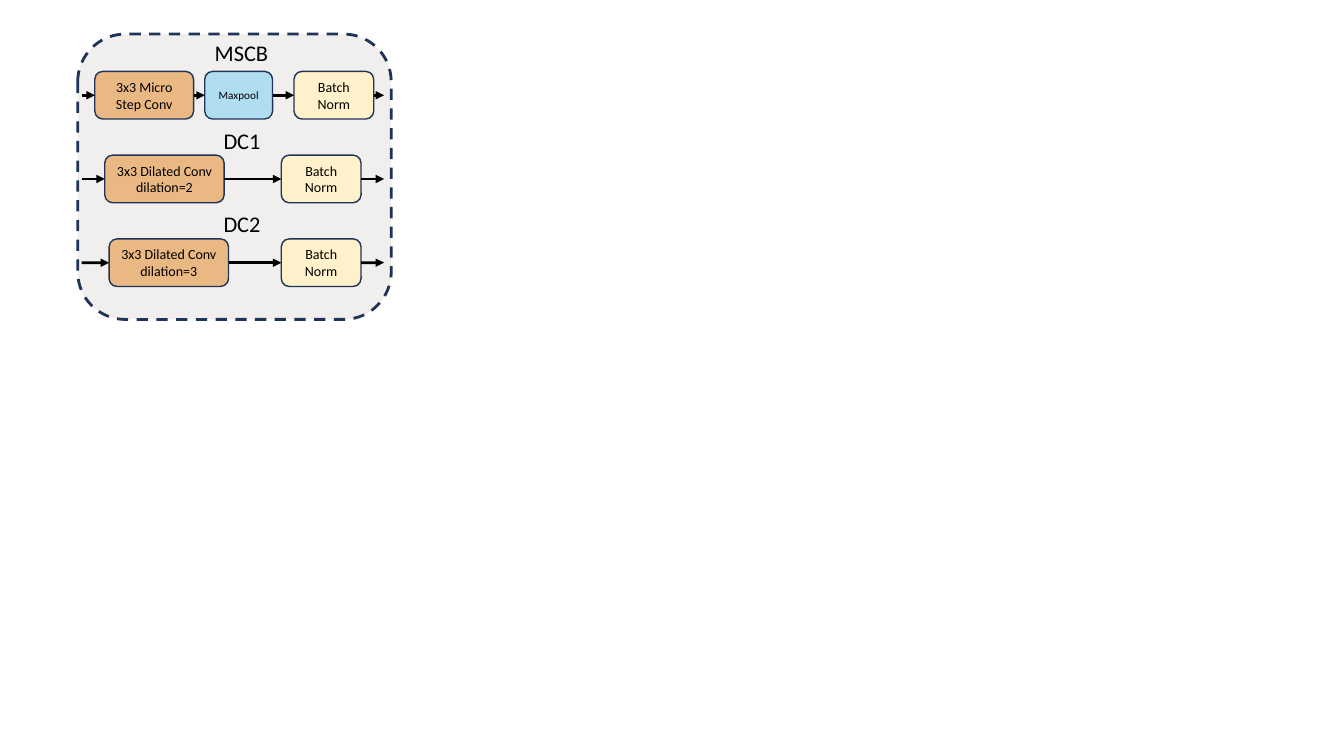
from itertools import pairwise

from lxml.etree import SubElement
from pptx import Presentation
from pptx.dml.color import RGBColor
from pptx.enum.dml import MSO_LINE
from pptx.enum.shapes import MSO_CONNECTOR, MSO_SHAPE
from pptx.enum.text import MSO_ANCHOR, PP_ALIGN
from pptx.oxml.ns import qn
from pptx.util import Cm, Pt

NAVY = RGBColor(0x20, 0x33, 0x59)
BLACK = RGBColor(0x00, 0x00, 0x00)
PANEL_GREY = RGBColor(0xF0, 0xEF, 0xED)
CONV_ORANGE = RGBColor(0xEA, 0xB8, 0x83)
POOL_BLUE = RGBColor(0xB1, 0xDD, 0xF0)
NORM_YELLOW = RGBColor(0xFF, 0xF2, 0xCA)

FIRST_ROW_TOP = 1.8
ROW_PITCH = 2.11
BLOCK_HEIGHT = 1.2
FLOW_START, FLOW_END = 2.06, 9.68
LEFT_SITE, RIGHT_SITE = 1, 3

BRANCHES = [
    {
        "label": ("MSCB", 2.21, 0.86, 7.75),
        "blocks": [
            ("3x3 Micro Step Conv", 2.39, 2.49, CONV_ORANGE, 10),
            ("Maxpool", 5.16, 1.71, POOL_BLUE, 8),
            ("Batch Norm", 7.41, 2.01, NORM_YELLOW, 10),
        ],
    },
    {
        "label": ("DC1", 3.56, 3.07, 5.08),
        "blocks": [
            ("3x3 Dilated Conv dilation=2", 2.64, 3.01, CONV_ORANGE, 10),
            ("Batch Norm", 7.09, 2.01, NORM_YELLOW, 10),
        ],
    },
    {
        "label": ("DC2", 3.56, 5.18, 5.08),
        "blocks": [
            ("3x3 Dilated Conv dilation=3", 2.75, 3.01, CONV_ORANGE, 10),
            ("Batch Norm", 7.09, 2.01, NORM_YELLOW, 10),
        ],
    },
]


def write_text(shape, text, size):
    shape.text_frame.word_wrap = True
    paragraph = shape.text_frame.paragraphs[0]
    paragraph.alignment = PP_ALIGN.CENTER
    run = paragraph.add_run()
    run.text = text
    for name, value in {"name": "Calibri", "size": Pt(size)}.items():
        setattr(run.font, name, value)
    run.font.color.rgb = BLACK


def add_rounded_box(shapes, left, top, width, height, fill, line_format):
    shape = shapes.add_shape(
        MSO_SHAPE.ROUNDED_RECTANGLE, Cm(left), Cm(top), Cm(width), Cm(height)
    )
    shape.shadow.inherit = False
    shape.fill.solid()
    shape.fill.fore_color.rgb = fill
    shape.line.color.rgb = NAVY
    for name, value in line_format.items():
        setattr(shape.line, name, value)
    return shape


def add_block(shapes, top, text, left, width, fill, size):
    block = add_rounded_box(
        shapes, left, top, width, BLOCK_HEIGHT, fill, {"width": Pt(1)}
    )
    block.text_frame.vertical_anchor = MSO_ANCHOR.MIDDLE
    write_text(block, text, size)
    return block


def add_label(shapes, text, left, top, width):
    label = shapes.add_textbox(Cm(left), Cm(top), Cm(width), Cm(0.94))
    write_text(label, text, 16)


def add_arrow(shapes, middle, source=None, target=None):
    arrow = shapes.add_connector(
        MSO_CONNECTOR.STRAIGHT, Cm(FLOW_START), Cm(middle), Cm(FLOW_END), Cm(middle)
    )
    if source is not None:
        arrow.begin_connect(source, RIGHT_SITE)
    if target is not None:
        arrow.end_connect(target, LEFT_SITE)
    arrow.line.color.rgb = BLACK
    arrow.line.width = Pt(2)
    properties = arrow.element.spPr
    SubElement(properties.find(qn("a:ln")), qn("a:tailEnd"), type="triangle")
    SubElement(properties, qn("a:effectLst"))


def add_branch(shapes, top, label, blocks):
    stages = [add_block(shapes, top, *block) for block in blocks]
    for source, target in pairwise([None, *stages, None]):
        add_arrow(shapes, top + BLOCK_HEIGHT / 2, source, target)
    add_label(shapes, *label)


def main():
    presentation = Presentation()
    presentation.slide_width = Cm(33.87)
    presentation.slide_height = Cm(19.05)
    slide = presentation.slides.add_slide(presentation.slide_layouts[6])
    shapes = slide.shapes.add_group_shape().shapes
    add_rounded_box(
        shapes, 1.96, 0.86, 7.9, 7.19, PANEL_GREY,
        {"width": Pt(2), "dash_style": MSO_LINE.DASH},
    )
    for row, branch in enumerate(BRANCHES):
        add_branch(shapes, FIRST_ROW_TOP + row * ROW_PITCH, **branch)
    presentation.save("out.pptx")


if __name__ == "__main__":
    main()
